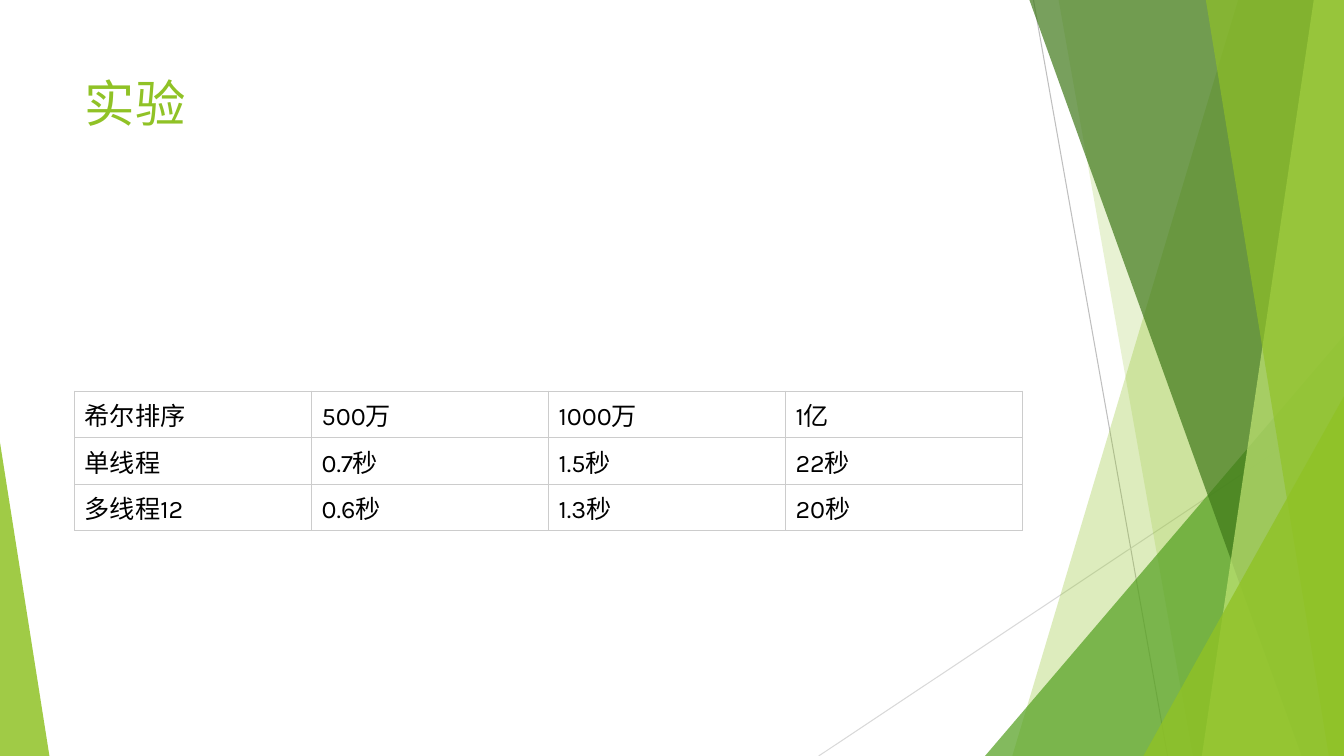
from dataclasses import dataclass

from lxml.etree import SubElement as Sub
from pptx import Presentation
from pptx.dml.color import RGBColor as RGB
from pptx.enum.shapes import MSO_CONNECTOR as Conn, MSO_SHAPE as Kind
from pptx.enum.text import MSO_ANCHOR as Anchor, PP_ALIGN as Align
from pptx.oxml.ns import qn
from pptx.util import Pt

PX = 9144
WIDE, HIGH = 1333, 750


@dataclass(frozen=True)
class Theme:
    """Colours, font and type sizes of the slide."""
    font: str = "Karla"
    lime: str = "90C226"
    pale: str = "C0E474"
    leaf: str = "54A021"
    dark: str = "3F7819"
    ink: str = "000000"
    rule: str = "CCCCCC"
    steep: str = "BFBFBF"
    flat: str = "D9D9D9"
    head: int = 36
    body: int = 18
    thin: float = 0.75


LOOK = Theme()


def emu(*nums):
    """Turn px lengths into EMU."""
    return [num * PX for num in nums]


def write(frame, text, size=LOOK.body, color=LOOK.ink, anchor=Anchor.MIDDLE):
    """Put one formatted line of text into a frame."""
    frame.word_wrap = True
    frame.vertical_anchor = anchor
    line = frame.paragraphs[0]
    line.alignment = Align.LEFT
    run = line.add_run()
    run.text = text
    run.font.name = LOOK.font
    run.font.size = Pt(size)
    run.font.bold = False
    run.font.color.rgb = RGB.from_string(color)


def paint(shape, color, alpha):
    """Give a shape a see-through fill with no line or shadow."""
    shape.shadow.inherit = False
    shape.line.fill.background()
    shape.fill.solid()
    shape.fill.fore_color.rgb = RGB.from_string(color)
    tint = next(shape.element.spPr.iter(qn("a:srgbClr")))
    Sub(tint, qn("a:alpha"), val=str(alpha * 1000))


def ray(group, ends, color):
    """Draw a thin straight line."""
    link = group.shapes.add_connector(Conn.STRAIGHT, *emu(*ends))
    link.line.color.rgb = RGB.from_string(color)
    link.line.width = Pt(LOOK.thin)
    Sub(link.element.spPr, qn("a:effectLst"))


def band(group, box, top, foot, color, alpha):
    """Draw a full-height band from its left edge to the right of the box."""
    left, head, wide, high = box
    right, base = left + wide, head + high
    form = group.shapes.build_freeform(left + top, head, scale=PX)
    form.add_line_segments([(right, head), (right, base), (left + foot, base)])
    paint(form.convert_to_shape(), color, alpha)


def wedge(group, box, tip, color, alpha):
    """Draw a triangle whose tip sits at a share of its width."""
    shape = group.shapes.add_shape(Kind.ISOSCELES_TRIANGLE, *emu(*box))
    shape.adjustments[0] = tip
    paint(shape, color, alpha)


def facets(slide, box):
    """Draw the green facets along the sides of the box."""
    left, top, wide, high = box
    right, base = left + wide, top + high
    group = slide.shapes.add_group_shape()
    ray(group, (left + 1025, top, left + 1158, base), LOOK.steep)
    ray(group, (right, top + 403, left + 812, base), LOOK.flat)
    band(group, box, 1228, 1004, LOOK.lime, 30)
    band(group, box, 1050, 1183, LOOK.lime, 20)
    wedge(group, (right - 356, base - 417, 356, 417), 1, LOOK.leaf, 72)
    band(group, box, 1021, 1291, LOOK.dark, 70)
    band(group, box, 1303, 1192, LOOK.pale, 70)
    band(group, box, 1196, 1318, LOOK.lime, 65)
    wedge(group, (right - 199, base - 357, 199, 357), 1, LOOK.lime, 80)
    wedge(group, (left, base - 311, 49, 311), 0, LOOK.lime, 85)
    slide.shapes.title.element.addprevious(group.element)


def heading(slide, box, text):
    """Place and write the slide title."""
    title = slide.shapes.title
    title.left, title.top, title.width, title.height = emu(*box)
    write(title.text_frame, text, size=LOOK.head, color=LOOK.lime,
          anchor=Anchor.TOP)


def frame(cell):
    """Draw thin borders around a cell and clear its fill."""
    props = cell._tc.get_or_add_tcPr()
    for side in "LRTB":
        edge = Sub(props, qn(f"a:ln{side}"), w=str(Pt(LOOK.thin)))
        fill = Sub(edge, qn("a:solidFill"))
        Sub(fill, qn("a:srgbClr"), val=LOOK.rule)
    cell.fill.background()


def grid(slide, box, rows):
    """Build the table of timings with equal rows and columns."""
    table = slide.shapes.add_table(len(rows), len(rows[0]), *emu(*box)).table
    table.first_row = table.horz_banding = False
    for y, row in enumerate(rows):
        for x, text in enumerate(row):
            cell = table.cell(y, x)
            frame(cell)
            write(cell.text_frame, text)
            cell.vertical_anchor = Anchor.MIDDLE


def main():
    """Build and save the slide."""
    deck = Presentation()
    deck.slide_width, deck.slide_height = emu(WIDE, HIGH)
    slide = deck.slides.add_slide(deck.slide_layouts[5])
    facets(slide, (0, 0, WIDE, HIGH))
    heading(slide, (74, 67, 940, 144), "实验")
    grid(slide, (74, 388, 940, 138), [
        ("希尔排序", "500万", "1000万", "1亿"),
        ("单线程", "0.7秒", "1.5秒", "22秒"),
        ("多线程12", "0.6秒", "1.3秒", "20秒"),
    ])
    deck.save("out.pptx")


if __name__ == "__main__":
    main()
